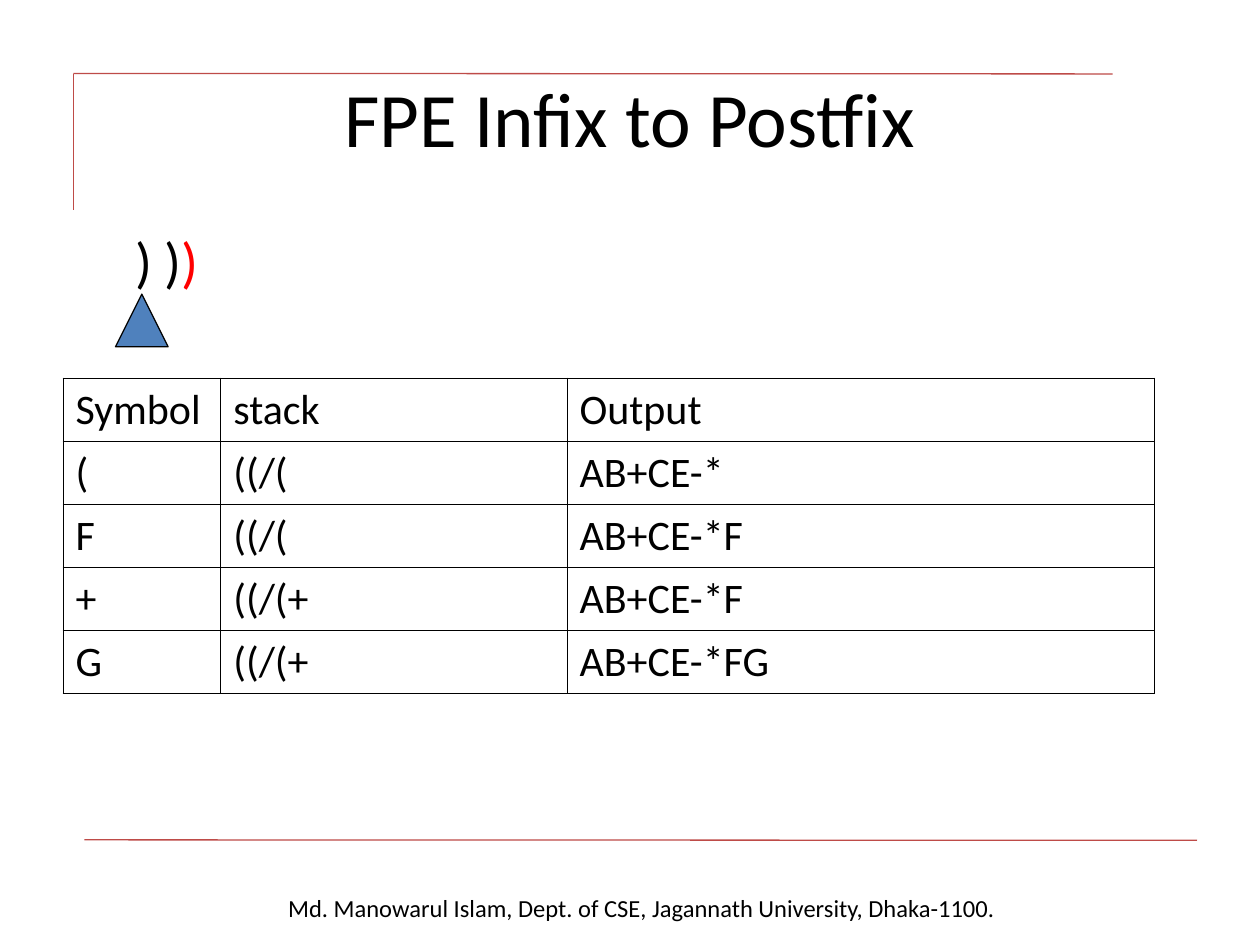
import pptx
import pptx.dml.color
import pptx.enum.shapes
import pptx.enum.text
import pptx.oxml
import pptx.oxml.ns
import pptx.util
from pptx.util import Cm

COLORS = {"text": "000000", "mark": "FF0000", "rule": "BE4B48", "pointer": "4F81BD"}
ALIGN = pptx.enum.text.PP_ALIGN
ANCHOR = pptx.enum.text.MSO_ANCHOR
SHAPE = pptx.enum.shapes.MSO_SHAPE


def rgb(name):
    return pptx.dml.color.RGBColor.from_string(COLORS[name])


def add_span(para, text, size=24, color="text", font="Calibri", align=ALIGN.LEFT):
    para.alignment = align
    span = para.add_run()
    span.text = text
    span.font.name = font
    span.font.size = pptx.util.Pt(size)
    span.font.color.rgb = rgb(color)


class SlideBuilder:
    line_width = pptx.util.Pt(0.75)
    border_width = pptx.util.Pt(0.45)

    def __init__(self, page):
        self.page = page

    def text_box(self, left, top, width, height, spans, hanging=0, anchor=ANCHOR.TOP, **style):
        box = self.page.shapes.add_textbox(Cm(left), Cm(top), Cm(width), Cm(height))
        frame = box.text_frame
        frame.word_wrap = True
        frame.vertical_anchor = anchor
        para = frame.paragraphs[0]
        if hanging:
            properties = para._p.get_or_add_pPr()
            properties.set("marL", str(Cm(hanging)))
            properties.set("indent", str(-Cm(hanging)))
        for text, color in spans:
            add_span(para, text, color=color, **style)

    def rule(self, x1, y1, x2, y2):
        line = self.page.shapes.add_connector(
            pptx.enum.shapes.MSO_CONNECTOR.STRAIGHT, Cm(x1), Cm(y1), Cm(x2), Cm(y2))
        line.line.color.rgb = rgb("rule")
        line.line.width = self.line_width
        pptx.oxml.ns.qn("a:effectLst")
        line._element.spPr.append(line._element.spPr.makeelement(pptx.oxml.ns.qn("a:effectLst"), {}))

    def pointer(self, left, top, size):
        shape = self.page.shapes.add_shape(
            SHAPE.ISOSCELES_TRIANGLE, Cm(left), Cm(top), Cm(size), Cm(size))
        shape.shadow.inherit = False
        shape.fill.solid()
        shape.fill.fore_color.rgb = rgb("pointer")
        shape.line.color.rgb = rgb("text")
        shape.line.width = self.line_width

    def table(self, left, top, widths, row_height, rows):
        frame = self.page.shapes.add_table(
            len(rows), len(widths), Cm(left), Cm(top), Cm(sum(widths)), Cm(row_height * len(rows)))
        table = frame.table
        table.first_row = False
        table.horz_banding = False
        for column, width in zip(table.columns, widths):
            column.width = Cm(width)
        for row, texts in zip(table.rows, rows):
            row.height = Cm(row_height)
            for cell, text in zip(row.cells, texts):
                add_span(cell.text_frame.paragraphs[0], text)
                self.cell_borders(cell)
                cell.fill.background()

    def cell_borders(self, cell):
        properties = cell._tc.get_or_add_tcPr()
        for side in ("lnL", "lnR", "lnT", "lnB"):
            properties.append(pptx.oxml.parse_xml(
                f'<a:{side} {pptx.oxml.ns.nsdecls("a")} w="{self.border_width}">'
                f'<a:solidFill><a:srgbClr val="{COLORS["text"]}"/></a:solidFill></a:{side}>'))


def main():
    deck = pptx.Presentation()
    deck.slide_width, deck.slide_height = Cm(25.4), Cm(19.05)
    slide = SlideBuilder(deck.slides.add_slide(deck.slide_layouts[6]))

    slide.text_box(
        0.97, 17.88, 23.93, 0.86,
        [("Md. Manowarul Islam, Dept. of CSE, Jagannath University, Dhaka-1100.", "text")],
        size=14, align=ALIGN.CENTER)
    slide.rule(1.48, 1.49, 1.48, 4.24)
    slide.rule(1.48, 1.48, 22.43, 1.49)
    slide.rule(1.7, 16.93, 24.13, 16.94)
    slide.text_box(
        1.27, 0.76, 22.86, 3.18, [("FPE Infix to Postfix", "text")],
        anchor=ANCHOR.MIDDLE, size=44, align=ALIGN.CENTER)
    slide.text_box(
        1.27, 4.45, 22.86, 12.57, [("\t ) )", "text"), (")", "mark")],
        hanging=0.95, size=32)
    slide.pointer(2.33, 5.93, 1.06)
    slide.table(1.27, 7.62, [3.18, 6.98, 11.85], 1.27, [
        ("Symbol", "stack", "Output"),
        ("(", "((/(", "AB+CE-*"),
        ("F", "((/(", "AB+CE-*F"),
        ("+", "((/(+", "AB+CE-*F"),
        ("G", "((/(+", "AB+CE-*FG"),
    ])
    deck.save("out.pptx")


if __name__ == "__main__":
    main()
